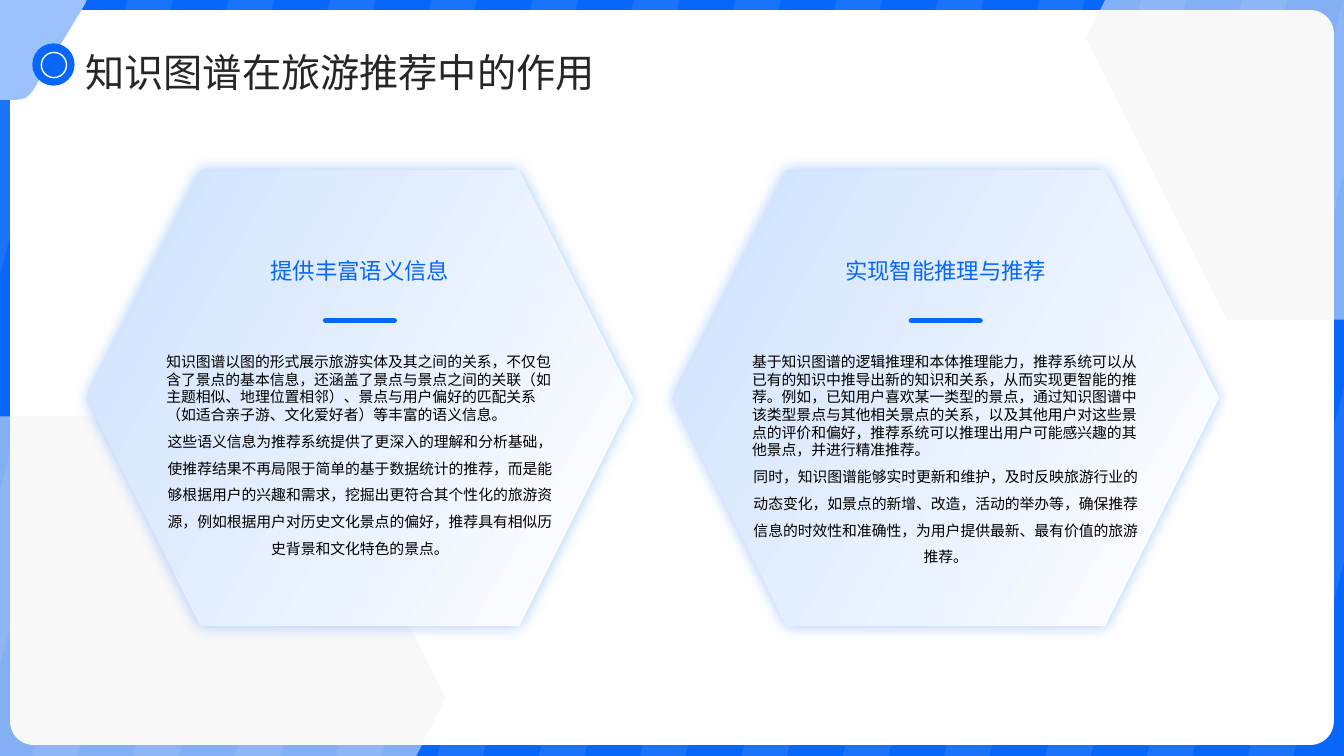
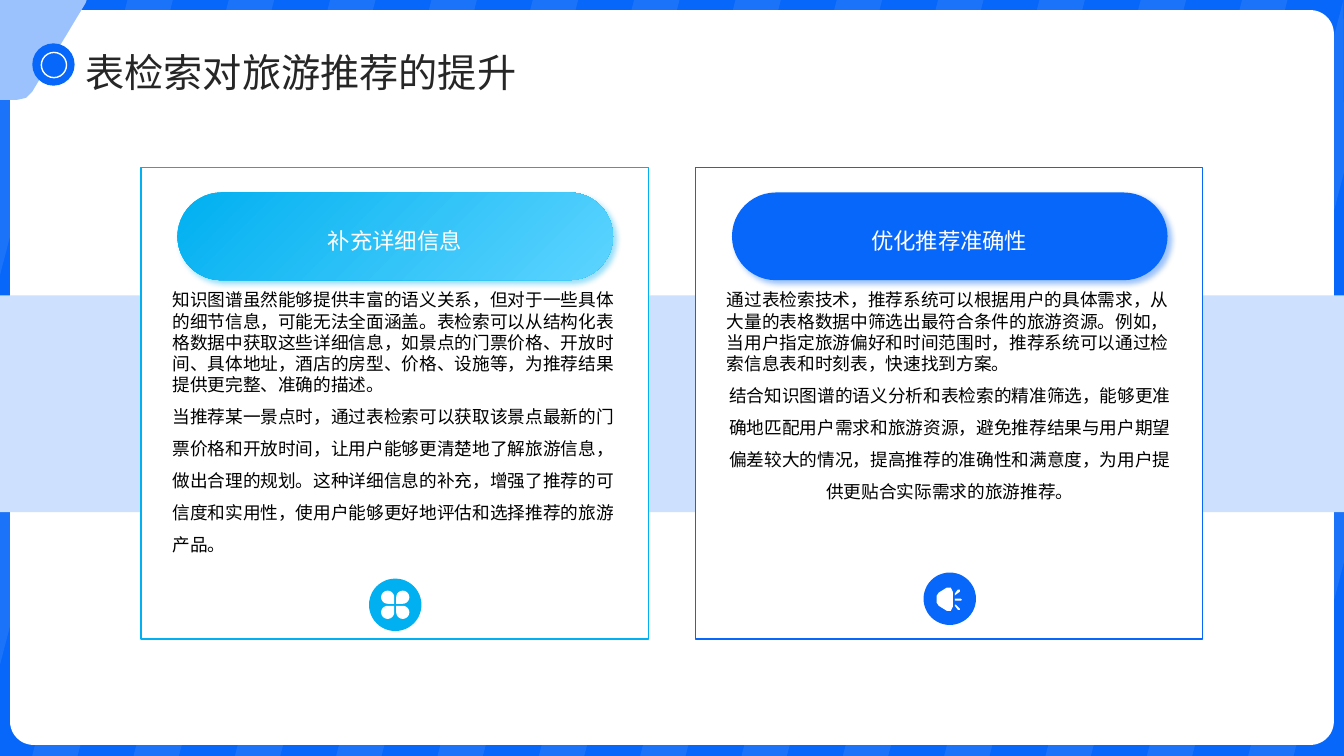
from math import cos, pi, sin

from lxml.etree import SubElement
from pptx import Presentation
from pptx.dml.color import RGBColor
from pptx.enum.shapes import MSO_CONNECTOR, MSO_SHAPE
from pptx.enum.text import MSO_ANCHOR, PP_ALIGN
from pptx.oxml.ns import qn
from pptx.util import Inches, Pt

WIDTH, HEIGHT = 13.33, 7.5
BLUE, CYAN, PALE, WHITE = "0767FA", "00B0F0", "CDE1FE", "FFFFFF"
FONT = "Noto Sans CJK SC"
LEFT, CENTER = PP_ALIGN.LEFT, PP_ALIGN.CENTER


def draw(slide, outline, box=None, fill=WHITE, line=None, alpha=None, gradient=None, shadow=None):
    if box:
        shape = slide.shapes.add_shape(outline, *[Inches(length) for length in box])
    else:
        contours = [[(Inches(x), Inches(y)) for x, y in contour] for contour in outline]
        builder = slide.shapes.build_freeform(*contours[0][0])
        for contour in contours:
            builder.move_to(*contour[0])
            builder.add_line_segments(contour[1:])
        shape = builder.convert_to_shape()
    shape.shadow.inherit = False
    if gradient:
        shape.fill.gradient()
        shape.fill.gradient_angle = 360 - gradient[2]
        for stop, color in zip(shape.fill.gradient_stops, gradient):
            stop.color.rgb = RGBColor.from_string(color)
    else:
        shape.fill.solid()
        shape.fill.fore_color.rgb = RGBColor.from_string(fill)
    if alpha:
        color = shape._element.spPr.find(qn("a:solidFill"))[0]
        SubElement(color, qn("a:alpha"), val=str(alpha * 1000))
    if line:
        shape.line.color.rgb = RGBColor.from_string(line)
        shape.line.width = Pt(1)
    else:
        shape.line.fill.background()
    if shadow:
        tint, opacity, blur, distance, angle = shadow
        effects = shape._element.spPr.find(qn("a:effectLst"))
        outer = SubElement(effects, qn("a:outerShdw"), blurRad=str(Pt(blur)), dist=str(Pt(distance)),
                           dir=str(angle * 60000), algn="ctr", rotWithShape="0")
        color = SubElement(outer, qn("a:srgbClr"), val=tint)
        SubElement(color, qn("a:alpha"), val=str(opacity * 1000))
    return shape


def write(slide, box, lines, size, color, anchor=MSO_ANCHOR.MIDDLE, margin=0):
    frame = slide.shapes.add_textbox(*[Inches(length) for length in box]).text_frame
    frame.word_wrap = True
    frame.vertical_anchor = anchor
    frame.margin_left = frame.margin_right = Inches(margin)
    frame.margin_top = frame.margin_bottom = Inches(margin / 2)
    for index, (text, alignment, spacing) in enumerate(lines):
        paragraph = frame.add_paragraph() if index else frame.paragraphs[0]
        paragraph.alignment = alignment
        paragraph.line_spacing = spacing
        run = paragraph.add_run()
        run.text = text
        run.font.size = Pt(size)
        run.font.name = FONT
        run.font.color.rgb = RGBColor.from_string(color)
        SubElement(run._r.rPr, qn("a:ea"), typeface=FONT)


presentation = Presentation()
presentation.slide_width = Inches(WIDTH)
presentation.slide_height = Inches(HEIGHT)

STRIPE_START, STRIPE_PITCH, STRIPE_WIDTH, STRIPE_SLOPE = 0.26, 1.005, 0.45, 0.26
stripes = []
for number in range(15):
    ends = []
    for offset in (0, STRIPE_WIDTH):
        start = STRIPE_START + number * STRIPE_PITCH + offset
        top = max(0, (start - WIDTH) / STRIPE_SLOPE)
        bottom = min(HEIGHT, start / STRIPE_SLOPE)
        ends.append([(start - STRIPE_SLOPE * y, y) for y in (top, bottom)])
    (left_top, left_bottom), (right_top, right_bottom) = ends
    stripes.append([left_top, right_top, right_bottom, left_bottom])

slides = []
for title in ["知识图谱在旅游推荐中的作用", "表检索对旅游推荐的提升"]:
    slide = presentation.slides.add_slide(presentation.slide_layouts[6])
    slides.append(slide)
    draw(slide, MSO_SHAPE.RECTANGLE, (0, 0, WIDTH, HEIGHT), BLUE)
    draw(slide, stripes, fill=PALE, alpha=10)
    panel = draw(slide, MSO_SHAPE.ROUNDED_RECTANGLE, (0.1, 0.1, WIDTH - 0.2, 7.29))
    panel.adjustments[0] = 0.032
    write(slide, (0.75, 0.38, 10.87, 0.53), [(title, LEFT, 1.3)], 28, "262626", margin=0.1)
    draw(slide, [[(0, 0), (0.86, 0), (0.85, 0.03), (0.32, 0.91), (0.29, 0.94),
                  (0.26, 0.97), (0.22, 0.98), (0.17, 0.99), (0, 0.99)]], fill="9CC2FD")
    draw(slide, MSO_SHAPE.OVAL, (0.32, 0.43, 0.42, 0.42), BLUE)
    draw(slide, MSO_SHAPE.OVAL, (0.41, 0.52, 0.25, 0.25), BLUE, WHITE)

role_slide, gain_slide = slides

for left, top in [(-3.21, 4.13), (10.77, -2.41)]:
    draw(role_slide, MSO_SHAPE.HEXAGON, (left, top, 7.63, 5.58), "F2F2F2", alpha=53)

roles = [
    ("提供丰富语义信息",
     "知识图谱以图的形式展示旅游实体及其之间的关系，不仅包含了景点的基本信息，还涵盖了景点与景点之间的关联（如主题相似、地理位置相邻）、景点与用户偏好的匹配关系（如适合亲子游、文化爱好者）等丰富的语义信息。",
     "这些语义信息为推荐系统提供了更深入的理解和分析基础，使推荐结果不再局限于简单的基于数据统计的推荐，而是能够根据用户的兴趣和需求，挖掘出更符合其个性化的旅游资源，例如根据用户对历史文化景点的偏好，推荐具有相似历史背景和文化特色的景点。"),
    ("实现智能推理与推荐",
     "基于知识图谱的逻辑推理和本体推理能力，推荐系统可以从已有的知识中推导出新的知识和关系，从而实现更智能的推荐。例如，已知用户喜欢某一类型的景点，通过知识图谱中该类型景点与其他相关景点的关系，以及其他用户对这些景点的评价和偏好，推荐系统可以推理出用户可能感兴趣的其他景点，并进行精准推荐。",
     "同时，知识图谱能够实时更新和维护，及时反映旅游行业的动态变化，如景点的新增、改造，活动的举办等，确保推荐信息的时效性和准确性，为用户提供最新、最有价值的旅游推荐。"),
]
for column, (heading, opening, closing) in enumerate(roles):
    left = 0.86 + column * 5.81
    draw(role_slide, MSO_SHAPE.HEXAGON, (left, 1.69, 5.42, 4.52),
         gradient=(PALE, WHITE, 30), shadow=(BLUE, 35, 11, 0, 0))
    write(role_slide, (left + 0.79, 2.11, 3.84, 1.07), [(heading, CENTER, 1.3)], 16, BLUE)
    accent = role_slide.shapes.add_connector(
        MSO_CONNECTOR.STRAIGHT, Inches(left + 2.37), Inches(3.18), Inches(left + 3.05), Inches(3.18))
    accent.line.color.rgb = RGBColor.from_string(BLUE)
    accent.line.width = Pt(4)
    accent.line._ln.set("cap", "rnd")
    SubElement(accent._element.spPr, qn("a:effectLst"))
    write(role_slide, (left + 0.79, 3.5, 3.84, 2.2),
          [(opening, LEFT, Pt(12.65)), (closing, CENTER, Pt(19.1))], 10.6, "000000", MSO_ANCHOR.TOP)

draw(gain_slide, MSO_SHAPE.RECTANGLE, (0, 2.93, WIDTH, 2.15), PALE)

gains = [
    ("补充详细信息", CYAN, (CYAN, "5DD4FF", 45), 5.74, LEFT,
     "知识图谱虽然能够提供丰富的语义关系，但对于一些具体的细节信息，可能无法全面涵盖。表检索可以从结构化表格数据中获取这些详细信息，如景点的门票价格、开放时间、具体地址，酒店的房型、价格、设施等，为推荐结果提供更完整、准确的描述。",
     "当推荐某一景点时，通过表检索可以获取该景点最新的门票价格和开放时间，让用户能够更清楚地了解旅游信息，做出合理的规划。这种详细信息的补充，增强了推荐的可信度和实用性，使用户能够更好地评估和选择推荐的旅游产品。"),
    ("优化推荐准确性", BLUE, None, 5.68, CENTER,
     "通过表检索技术，推荐系统可以根据用户的具体需求，从大量的表格数据中筛选出最符合条件的旅游资源。例如，当用户指定旅游偏好和时间范围时，推荐系统可以通过检索信息表和时刻表，快速找到方案。",
     "结合知识图谱的语义分析和表检索的精准筛选，能够更准确地匹配用户需求和旅游资源，避免推荐结果与用户期望偏差较大的情况，提高推荐的准确性和满意度，为用户提供更贴合实际需求的旅游推荐。"),
]
for column, (heading, color, gradient, icon_top, alignment, opening, closing) in enumerate(gains):
    left = 1.4 + column * 5.5
    draw(gain_slide, MSO_SHAPE.RECTANGLE, (left, 1.66, 5.03, 4.68), WHITE, color)
    draw(gain_slide, MSO_SHAPE.OVAL, (left + 2.26, icon_top, 0.52, 0.52), color)
    pill = draw(gain_slide, MSO_SHAPE.ROUNDED_RECTANGLE, (left + 0.36, 1.91, 4.32, 0.87), color,
                gradient=gradient, shadow=(color, 40, 4, 3, 45))
    pill.adjustments[0] = 0.5
    write(gain_slide, (left + 0.64, 2.01, 3.75, 0.68), [(heading, CENTER, 1.3)], 16, WHITE)
    write(gain_slide, (left + 0.31, 2.87, 4.42, 2.7),
          [(opening, LEFT, Pt(15.15)), (closing, alignment, Pt(22.85))], 12.6, "000000", MSO_ANCHOR.TOP)

PETAL_RADIUS, PETAL_OFFSET = 0.065, 0.075
petals = []
for side_x, side_y in [(-1, -1), (1, -1), (1, 1), (-1, 1)]:
    center_x, center_y = 3.92 + side_x * PETAL_OFFSET, 6 + side_y * PETAL_OFFSET
    arc = [(center_x - side_x * PETAL_RADIUS * cos(step * pi / 12),
            center_y - side_y * PETAL_RADIUS * sin(step * pi / 12)) for step in range(-6, 13)]
    corner = (center_x + side_x * PETAL_RADIUS, center_y + side_y * PETAL_RADIUS)
    inner_corner = (center_x - side_x * PETAL_RADIUS, center_y - side_y * PETAL_RADIUS)
    rounded = [point for point in arc if abs(point[0] - inner_corner[0]) + abs(point[1] - inner_corner[1]) > PETAL_RADIUS]
    outer = [(center_x + side_x * PETAL_RADIUS * cos(step * pi / 12),
              center_y + side_y * PETAL_RADIUS * sin(step * pi / 12)) for step in range(-6, 13)]
    petals.append([inner_corner] + outer)
draw(gain_slide, petals)

draw(gain_slide, [
    [(9.29, 5.91), (9.31, 5.88), (9.39, 5.83), (9.43, 5.83), (9.45, 5.87),
     (9.45, 6.02), (9.43, 6.06), (9.39, 6.06), (9.31, 6.01), (9.29, 5.98)],
    [(9.47, 5.89), (9.5, 5.85), (9.52, 5.85), (9.52, 5.87), (9.48, 5.9), (9.47, 5.91)],
    [(9.47, 5.94), (9.53, 5.94), (9.54, 5.95), (9.53, 5.96), (9.47, 5.96)],
    [(9.47, 6), (9.48, 6), (9.52, 6.04), (9.52, 6.05), (9.5, 6.05), (9.47, 6.01)],
])

presentation.save("out.pptx")
